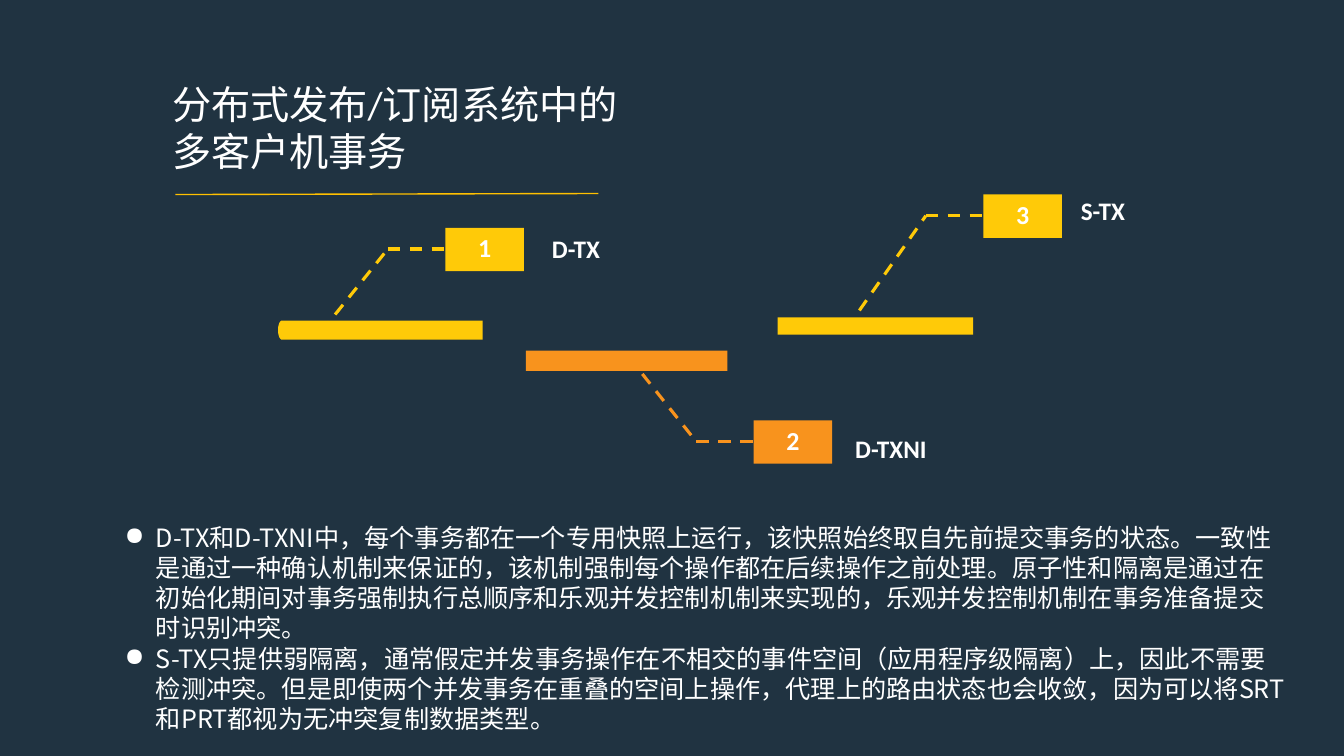
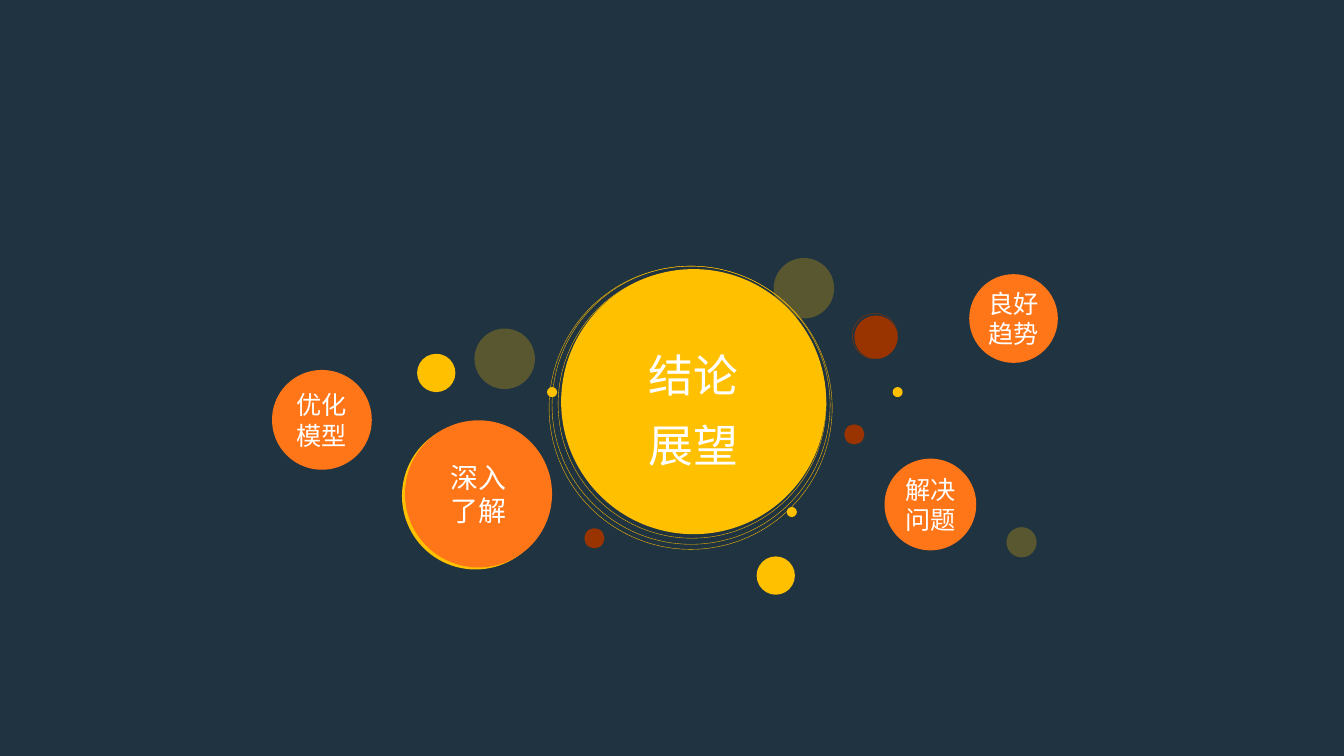
from math import cos, pi, sin

from lxml.etree import SubElement
from pptx import Presentation
from pptx.dml.color import RGBColor
from pptx.enum.dml import MSO_LINE
from pptx.enum.shapes import MSO_CONNECTOR, MSO_SHAPE
from pptx.enum.text import MSO_ANCHOR, PP_ALIGN
from pptx.oxml.ns import qn
from pptx.util import Inches, Pt

NAVY = RGBColor(0x20, 0x33, 0x41)
WHITE = RGBColor(0xFF, 0xFF, 0xFF)
GOLD = RGBColor(0xFF, 0xC0, 0x00)
YELLOW = RGBColor(0xFF, 0xCA, 0x08)
AMBER = RGBColor(0xF8, 0x93, 0x1D)
ORANGE = RGBColor(0xFF, 0x76, 0x19)
RUST = RGBColor(0x99, 0x33, 0x00)
LATIN = "Calibri"
HAN = "Noto Sans CJK SC"


def new_slide(deck):
    slide = deck.slides.add_slide(deck.slide_layouts[6])
    slide.background.fill.solid()
    slide.background.fill.fore_color.rgb = NAVY
    return slide


def write(shape, lines, size=18, font=HAN, bold=False, align=PP_ALIGN.LEFT,
          anchor=MSO_ANCHOR.TOP, space=None, inset=(0.1, 0.05), bullet=None):
    frame = shape.text_frame
    frame.word_wrap = True
    frame.vertical_anchor = anchor
    frame.margin_left = frame.margin_right = Inches(inset[0])
    frame.margin_top = frame.margin_bottom = Inches(inset[1])
    for i, line in enumerate(lines):
        para = frame.add_paragraph() if i else frame.paragraphs[0]
        para.alignment = align
        if space:
            para.line_spacing = space
        run = para.add_run()
        run.text = line
        run.font.size = Pt(size)
        run.font.name = font
        run.font.bold = bold
        run.font.color.rgb = WHITE
        SubElement(run.font._element, qn("a:ea"), typeface=HAN)
        if bullet:
            props = para._p.get_or_add_pPr()
            props.set("marL", str(Inches(0.31)))
            props.set("indent", str(-Inches(0.31)))
            SubElement(props, qn("a:buChar"), char=bullet)


def add_text(slide, box, lines, **style):
    shape = slide.shapes.add_textbox(*map(Inches, box))
    write(shape, lines, **style)


def paint(shape, fill=None, line=None, alpha=None):
    """Set a flat fill (alpha in percent) and an optional hairline."""
    shape.shadow.inherit = False
    if fill is None:
        shape.fill.background()
    else:
        shape.fill.solid()
        shape.fill.fore_color.rgb = fill
    if alpha is not None:
        tint = shape.fill._xPr.find(qn("a:solidFill"))[0]
        SubElement(tint, qn("a:alpha"), val=str(alpha * 1000))
    if line is None:
        shape.line.fill.background()
    else:
        shape.line.color.rgb = line
        shape.line.width = Pt(0.25)


def add_shape(slide, kind, box, **look):
    shape = slide.shapes.add_shape(kind, *map(Inches, box))
    paint(shape, **look)
    return shape


def add_line(slide, start, end, color, width, dash=None):
    line = slide.shapes.add_connector(
        MSO_CONNECTOR.STRAIGHT, *map(Inches, (*start, *end)))
    line.line.color.rgb = color
    line.line.width = Pt(width)
    if dash:
        line.line.dash_style = dash
    SubElement(line._element.spPr, qn("a:effectLst"))


def add_title(slide, box, text):
    left, top, width, height = box
    add_text(slide, box, [text], size=28, font=LATIN)
    base = top + height + 0.14
    add_line(slide, (left + 0.13, base), (left + width - 0.43, base - 0.01),
             GOLD, 1)


def round_bar(slide, box, color):
    """Draw a bar whose left end alone is rounded."""
    left, top, width, height = box
    cap, half = 0.04, height / 2
    turns = [pi / 2 + pi * i / 16 for i in range(17)]
    curve = [(left + cap + cap * cos(t), top + half + half * sin(t))
             for t in turns]
    outline = slide.shapes.build_freeform(
        Inches(left + width), Inches(top), scale=1.0)
    points = [(left + width, top + height), *curve]
    outline.add_line_segments([(Inches(x), Inches(y)) for x, y in points])
    paint(outline.convert_to_shape(), fill=color)


def add_callout(slide, spot, mark, name, color, bar, foot, label, rounded):
    """Place bar, bent leader and label by offsets from the badge corner."""
    x, y = spot
    place = (x + bar[0], y + bar[1], *bar[2:])
    if rounded:
        round_bar(slide, place, color)
    else:
        add_shape(slide, MSO_SHAPE.RECTANGLE, place, fill=color)
    bend = (x - 0.57, y + 0.21)
    start = (x + foot[0], y + foot[1])
    add_line(slide, start, bend, color, 2.25, MSO_LINE.DASH)
    add_line(slide, bend, (x + 0.06, bend[1]), color, 2.25, MSO_LINE.DASH)
    badge = add_shape(slide, MSO_SHAPE.RECTANGLE, (x, y, 0.78, 0.43),
                      fill=color)
    write(badge, [mark], size=18.5, font=LATIN, bold=True, space=0.9,
          align=PP_ALIGN.CENTER, anchor=MSO_ANCHOR.MIDDLE)
    add_text(slide, (x + label[0], y + label[1], 1.62, 0.75), [name],
             font=LATIN, bold=True)


def add_disc(slide, left, top, width, lines=(), look=None, **style):
    disc = add_shape(slide, MSO_SHAPE.OVAL, (left, top, width, width),
                     **(look or {"fill": ORANGE}))
    if lines:
        write(disc, lines, align=PP_ALIGN.CENTER, anchor=MSO_ANCHOR.MIDDLE,
              **style)


def topic_slide(deck):
    slide = new_slide(deck)
    add_title(slide, (1.61, 0.75, 4.76, 1.04),
              "分布式发布/订阅系统中的多客户机事务")
    calls = [
        ((4.42, 2.26), "1", "D-TX", YELLOW, (-1.66, 0.92, 2.03, 0.19),
         (-1.23, 1.03), (0.96, 0.01), True),
        ((7.48, 4.17), "2", "D-TXNI", AMBER, (-2.26, -0.69, 2, 0.2),
         (-1.24, -0.63), (0.91, 0.08), False),
        ((9.76, 1.93), "3", "S-TX", YELLOW, (-2.04, 1.22, 1.94, 0.17),
         (-1.23, 1.15), (0.87, -0.04), False),
    ]
    for call in calls:
        add_callout(slide, *call)
    add_text(slide, (1.14, 5.13, 11.74, 2.3), [
        "D-TX和D-TXNI中，每个事务都在一个专用快照上运行，该快照始终取自先前提交事务的状态。"
        "一致性是通过一种确认机制来保证的，该机制强制每个操作都在后续操作之前处理。"
        "原子性和隔离是通过在初始化期间对事务强制执行总顺序和乐观并发控制机制来实现的，"
        "乐观并发控制机制在事务准备提交时识别冲突。",
        "S-TX只提供弱隔离，通常假定并发事务操作在不相交的事件空间（应用程序级隔离）上，"
        "因此不需要检测冲突。但是即使两个并发事务在重叠的空间上操作，"
        "代理上的路由状态也会收敛，因为可以将SRT和PRT都视为无冲突复制数据类型。",
    ], bullet="●")


def closing_slide(deck):
    slide = new_slide(deck)
    solid, rust = {"fill": GOLD}, {"fill": RUST}
    faint = {"fill": GOLD, "alpha": 26}
    ring, edge = {"line": GOLD}, {"line": RUST}
    tight = (0, 0)
    add_disc(slide, 3.99, 4.19, 1.46, look=solid)
    add_disc(slide, 5.57, 2.67, 2.63, ["结论", "展望"], solid,
             size=32, space=1.3)
    add_disc(slide, 4.02, 4.17, 1.46, ["深入", "了解"], size=20, inset=tight)
    for left, top, width, text in [
            (2.7, 3.67, 0.99, "优化模型"), (8.78, 4.55, 0.91, "解决问题"),
            (9.62, 2.72, 0.88, "良好趋势")]:
        add_disc(slide, left, top, width, [text], inset=tight)
    for look, width, spots in [
            (solid, 0.38, [(4.14, 3.51), (7.51, 5.52)]),
            (faint, 0.6, [(4.71, 3.26), (7.68, 2.56)]),
            (faint, 0.3, [(9.99, 5.23)]),
            (rust, 0.2, [(8.38, 4.21), (5.8, 5.24)]),
            (rust, 0.43, [(8.48, 3.13)]),
            (ring, 2.66, [(5.54, 2.68)]),
            (ring, 2.81, [(5.45, 2.64)]),
            (ring, 2.76, [(5.48, 2.64)]),
            (solid, 0.1, [(7.81, 5.03), (5.43, 3.84), (8.86, 3.84)]),
            (edge, 0.45, [(8.46, 3.11)])]:
        for left, top in spots:
            add_disc(slide, left, top, width, look=look)


def main():
    deck = Presentation()
    deck.slide_width, deck.slide_height = Inches(13.34), Inches(7.5)
    topic_slide(deck)
    closing_slide(deck)
    deck.save("out.pptx")


if __name__ == "__main__":
    main()
